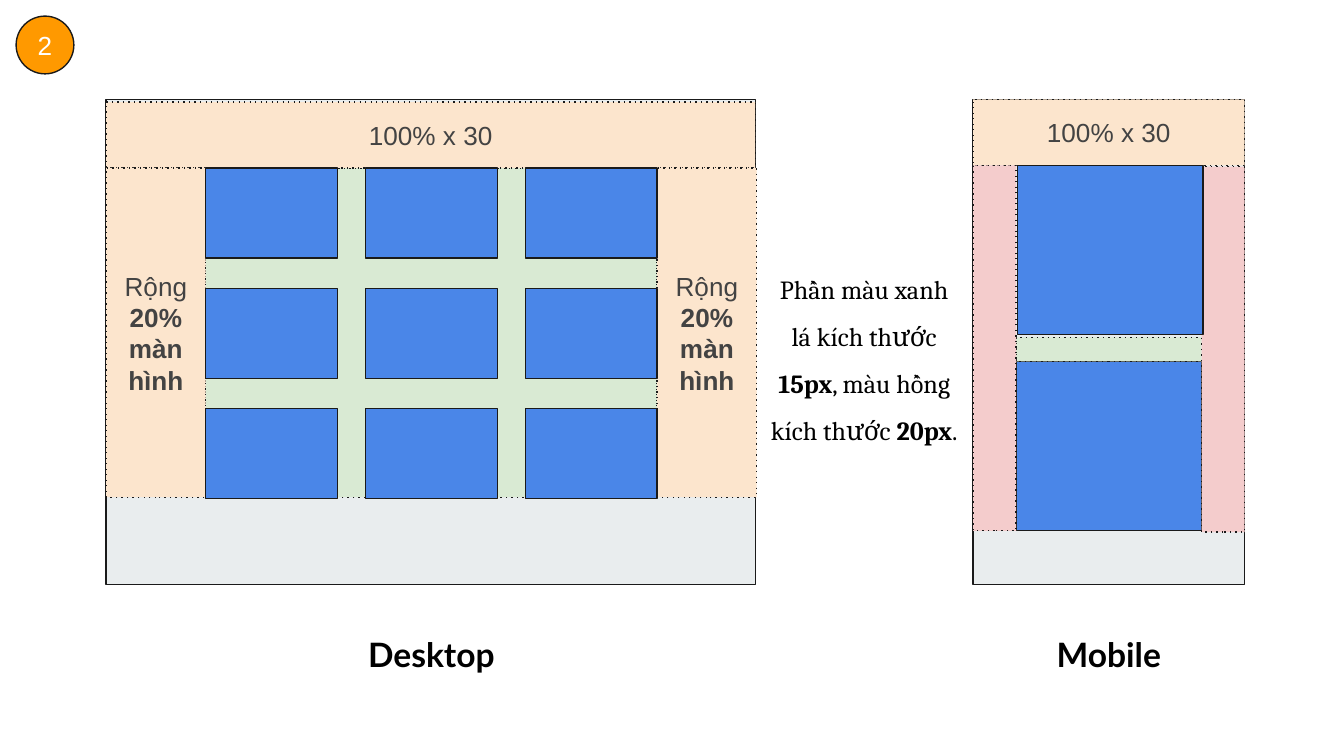
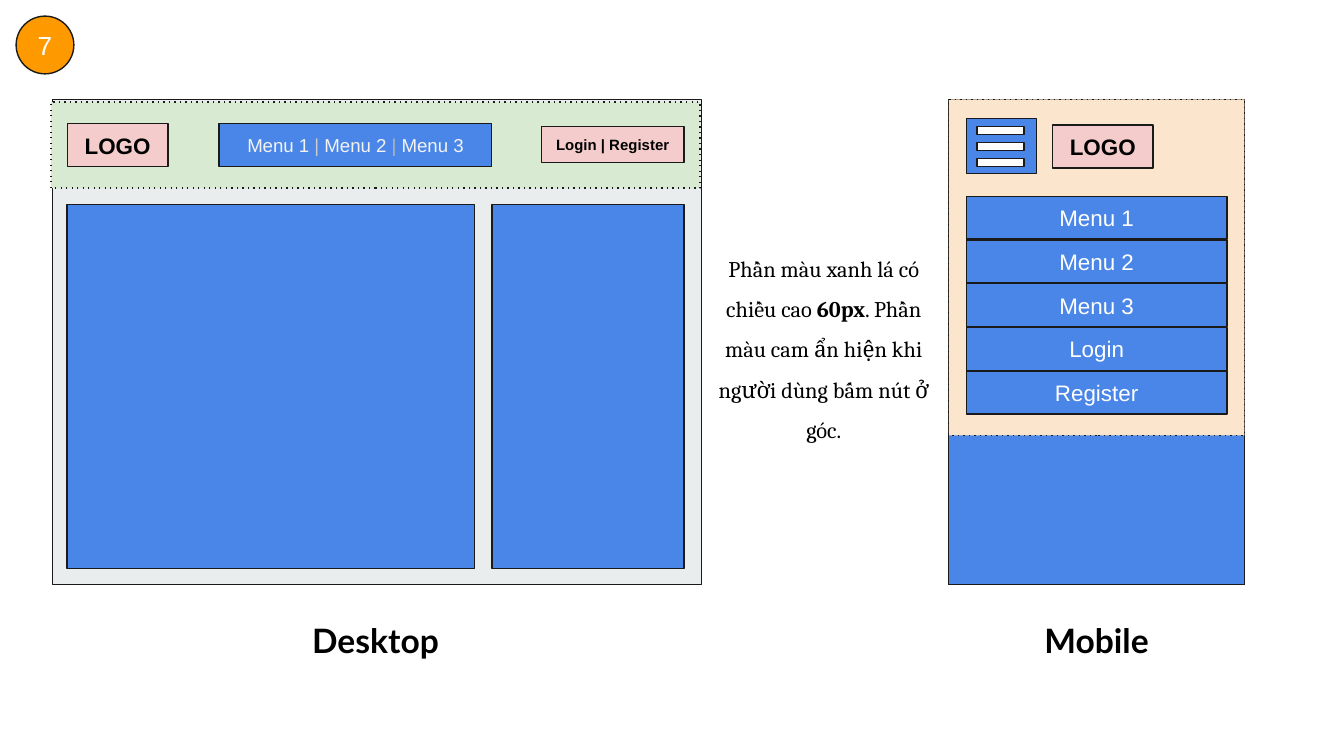
from pptx import Presentation
from pptx import util as u
from pptx.dml import color
from pptx.enum import dml, shapes, text

COLORS = {
    "ink": "1A1A1A", "black": "000000", "white": "FFFFFF", "grey": "434343",
    "page": "E9EDEE", "peach": "FCE5CD", "green": "D9EAD3", "blue": "4A86E8",
    "pink": "F4CCCC", "orange": "FF9900", "pale": "F3F3F3",
    "bar1": "CCCCCC", "bar2": "B7B7B7",
}
STYLES = {
    "number": {"size": 14, "name": "Arial", "color": "white"},
    "size": {"size": 14, "name": "Arial", "color": "grey"},
    "caption": {"size": 18, "name": "Lato", "color": "black", "bold": True},
    "note": {"size": 14, "name": "Cambria", "color": "black"},
    "small_note": {"size": 12, "name": "Cambria", "color": "black"},
    "logo": {"size": 12, "name": "Arial", "color": "black", "bold": True},
    "account": {"size": 8, "name": "Arial", "color": "black", "bold": True},
    "menu_bar": {"size": 10, "name": "Arial", "color": "pale"},
    "menu_item": {"size": 12, "name": "Arial", "color": "white"},
}
SLIDE_WIDTH = u.Inches(10)
SLIDE = {"slide_width": SLIDE_WIDTH, "slide_height": SLIDE_WIDTH * 9 // 16}
FRAME = {"word_wrap": True, "margin_left": u.Inches(0.1), "margin_right": u.Inches(0.1),
         "margin_top": u.Inches(0.1), "margin_bottom": u.Inches(0.1)}
BOLD = {"bold": True}
CENTER, MIDDLE, TOP = text.PP_ALIGN.CENTER, text.MSO_ANCHOR.MIDDLE, text.MSO_ANCHOR.TOP
RECT, OVAL = shapes.MSO_SHAPE.RECTANGLE, shapes.MSO_SHAPE.OVAL


def rgb(name):
    return color.RGBColor.from_string(COLORS[name])


def set_attrs(obj, values):
    for key, value in values.items():
        setattr(obj, key, value)


def write(s, runs, style, align=CENTER, anchor=MIDDLE, spacing=None):
    tf = s.text_frame
    set_attrs(tf, {**FRAME, "vertical_anchor": anchor})
    p = tf.paragraphs[0]
    set_attrs(p, {"alignment": align, "line_spacing": spacing})
    for words, changes in runs:
        r = p.add_run()
        r.text = words
        font = {**STYLES[style], **changes}
        r.font.color.rgb = rgb(font.pop("color"))
        font["size"] = u.Pt(font["size"])
        set_attrs(r.font, font)


def add_box(s, at, fill, dotted=False, kind=RECT):
    sp = s.shapes.add_shape(kind, *map(u.Inches, at))
    sp.shadow.inherit = False
    sp.fill.solid()
    sp.fill.fore_color.rgb = rgb(fill)
    sp.line.color.rgb = rgb("ink")
    sp.line.width = u.Pt(0.75)
    if dotted:
        sp.line.dash_style = dml.MSO_LINE.ROUND_DOT
        sp.element.xpath(".//a:prstDash")[0].set("val", "dot")
    return sp


def add_label(s, at, fill, words, style, dotted=False):
    write(add_box(s, at, fill, dotted), [(words, {})], style)


def add_text(s, at, runs, style, **layout):
    write(s.shapes.add_textbox(*map(u.Inches, at)), runs, style, **layout)


def add_caption(s, left, top, width, words):
    add_text(s, (left, top, width, 0.57), [(words, {})], "caption", anchor=TOP)


def add_slide(prs, number):
    s = prs.slides.add_slide(prs.slide_layouts[6])
    badge = add_box(s, (0.12, 0.12, 0.43, 0.43), "orange", kind=OVAL)
    write(badge, [(number, {})], "number", align=text.PP_ALIGN.LEFT)
    return s


def build_grid_slide(prs):
    s = add_slide(prs, "2")

    add_box(s, (0.79, 0.74, 4.83, 3.61), "page")
    add_box(s, (1.53, 1.25, 3.36, 2.45), "green", True)
    add_label(s, (0.79, 0.76, 4.83, 0.49), "peach", "100% x 30", "size", True)
    for left in (0.79, 4.89):
        side = add_box(s, (left, 1.25, 0.74, 2.45), "peach", True)
        write(side, [("Rộng ", {}), ("20% màn hình", BOLD)], "size")
    for row in range(3):
        for col in range(3):
            add_box(s, (1.53 + 1.19 * col, 1.25 + 1.79 / 2 * row, 0.98, 0.67), "blue")
    add_caption(s, 0.74, 4.62, 4.94, "Desktop")

    add_box(s, (7.24, 0.74, 2.02, 3.61), "page")
    add_label(s, (7.24, 0.74, 2.02, 0.49), "peach", "100% x 30", "size", True)
    add_box(s, (7.56, 2.69, 1.38, 1.26), "blue")
    add_box(s, (7.56, 2.51, 1.38, 0.18), "green", True)
    for left, top in ((7.24, 1.23), (8.94, 1.24)):
        add_box(s, (left, top, 0.32, 2.72), "pink", True)
    add_box(s, (7.57, 1.23, 1.38, 1.26), "blue")
    add_caption(s, 7.24, 4.62, 2.02, "Mobile")

    add_text(s, (5.62, 1.82, 1.62, 2.09),
             [("Phần màu xanh lá kích thước ", {}), ("15px", BOLD),
              (", màu hồng kích thước", {}), (" 20px", BOLD), (".", {})],
             "note", anchor=TOP, spacing=1.5)


def build_menu_slide(prs):
    s = add_slide(prs, "7")

    add_box(s, (0.39, 0.74, 4.83, 3.61), "page")
    add_box(s, (0.38, 0.76, 4.83, 0.64), "green", True)
    add_label(s, (0.5, 0.92, 0.75, 0.32), "pink", "LOGO", "logo")
    menu_bar = add_box(s, (1.63, 0.92, 2.03, 0.32), "blue")
    write(menu_bar, [("Menu 1 ", {}), ("|", {"color": "bar1"}), (" Menu 2 ", {}),
                     ("|", {"color": "bar2"}), (" Menu 3", {})], "menu_bar")
    add_label(s, (4.03, 0.94, 1.06, 0.27), "pink", "Login | Register", "account")
    for left, width in ((0.5, 3.03), (3.66, 1.43)):
        add_box(s, (left, 1.52, width, 2.71), "blue")
    add_caption(s, 0.38, 4.51, 4.83, "Desktop")

    add_box(s, (7.06, 0.74, 2.2, 3.61), "page")
    add_box(s, (7.06, 2.83, 2.2, 1.52), "blue")
    add_box(s, (7.06, 0.74, 2.2, 2.5), "peach", True)
    add_box(s, (7.19, 0.88, 0.52, 0.41), "blue")
    for i in range(3):
        add_box(s, (7.27, 0.94 + 0.12 * i, 0.35, 0.06), "white")
    add_label(s, (7.83, 0.93, 0.75, 0.32), "pink", "LOGO", "logo")
    for i, item in enumerate(("Menu 1", "Menu 2", "Menu 3", "Login", "Register")):
        add_label(s, (7.19, 1.46 + 1.3 / 4 * i, 1.94, 0.32), "blue", item, "menu_item")
    add_caption(s, 7.06, 4.51, 2.2, "Mobile")

    add_text(s, (5.21, 0.74, 1.84, 3.61),
             [("Phần màu xanh lá có chiều cao ", {}), ("60px", BOLD),
              (". Phần màu cam ẩn hiện khi người dùng bấm nút ở góc.", {})],
             "small_note", spacing=1.5)


def main():
    prs = Presentation()
    set_attrs(prs, SLIDE)
    build_grid_slide(prs)
    build_menu_slide(prs)
    prs.save("out.pptx")


if __name__ == "__main__":
    main()
